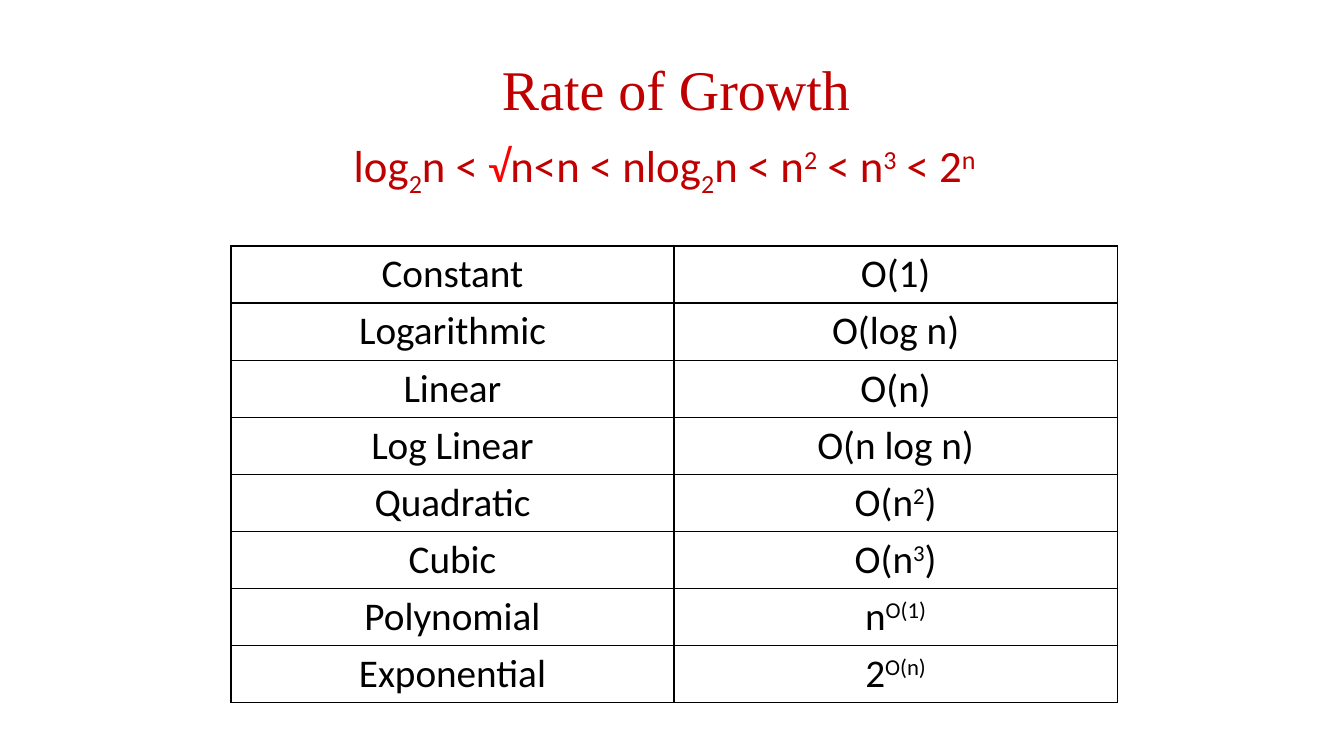
from lxml.etree import SubElement
from pptx import Presentation
from pptx.dml.color import RGBColor
from pptx.enum.text import MSO_ANCHOR, PP_ALIGN
from pptx.oxml.ns import qn
from pptx.util import Inches, Pt

SUB, SUPER = -25, 30
DARK_RED, RED, BLACK, WHITE = "C00000", "FF0000", "000000", "FFFFFF"

ORDERING = [
    ("log",), ("2", SUB), ("n < ",), ("√", 0, RED), ("n<n < nlog",), ("2", SUB),
    ("n < n",), ("2", SUPER), (" < n",), ("3", SUPER), (" < 2",), ("n", SUPER),
]
GROWTH_RATES = [
    ("Constant", [("Ο(1)",)]),
    ("Logarithmic", [("Ο(log n)",)]),
    ("Linear", [("Ο(n)",)]),
    ("Log Linear", [("Ο(n log n)",)]),
    ("Quadratic", [("Ο(n",), ("2", SUPER), (")",)]),
    ("Cubic", [("Ο(n",), ("3", SUPER), (")",)]),
    ("Polynomial", [("n",), ("Ο(1)", SUPER)]),
    ("Exponential", [("2",), ("Ο(n)", SUPER)]),
]


def rgb(color):
    return RGBColor.from_string(color)


def set_all(obj, values):
    for name, value in values.items():
        setattr(obj, name, value)


def add_run(p, font, size, color, text, baseline=0, own_color=None):
    r = p.add_run()
    r.text = text
    set_all(r.font, {"name": font, "size": Pt(size)})
    r.font.color.rgb = rgb(own_color or color)
    if baseline:
        r._r.get_or_add_rPr().set("baseline", str(baseline * 1000))


def write(tf, parts, font, size, color, align):
    """Fill the first paragraph with (text, baseline, colour) parts."""
    p = tf.paragraphs[0]
    p.alignment = align
    for part in parts:
        add_run(p, font, size, color, *part)


def add_title(s):
    title = s.shapes.title
    set_all(title, {"left": Inches(2.12), "top": Inches(0.49),
                    "width": Inches(9.17), "height": Inches(0.77)})
    set_all(title.text_frame, {"word_wrap": True, "vertical_anchor": MSO_ANCHOR.TOP})
    write(title.text_frame, [("Rate of Growth",)], "Times New Roman", 40,
          DARK_RED, PP_ALIGN.CENTER)


def add_ordering(s):
    box = s.shapes.add_textbox(Inches(3.41), Inches(1.32), Inches(6.55), Inches(0.64))
    box.text_frame.word_wrap = False
    write(box.text_frame, ORDERING, "Calibri", 32, DARK_RED, PP_ALIGN.LEFT)


def add_borders(cell):
    tcPr = cell._tc.get_or_add_tcPr()
    for index, side in enumerate(("lnL", "lnR", "lnT", "lnB")):
        ln = tcPr.makeelement(qn(f"a:{side}"), {"w": str(Pt(1))})
        fill = SubElement(ln, qn("a:solidFill"))
        SubElement(fill, qn("a:srgbClr"), val=BLACK)
        tcPr.insert(index, ln)


def fill_cell(cell, parts):
    set_all(cell, {"vertical_anchor": MSO_ANCHOR.MIDDLE,
                   "margin_top": Inches(0.04), "margin_bottom": Inches(0.04)})
    cell.fill.solid()
    cell.fill.fore_color.rgb = rgb(WHITE)
    add_borders(cell)
    write(cell.text_frame, parts, "Calibri", 28, BLACK, PP_ALIGN.CENTER)


def add_growth_table(s):
    table = s.shapes.add_table(len(GROWTH_RATES), 2, Inches(2.29), Inches(2.44),
                               Inches(8.79), Inches(4.53)).table
    set_all(table, {"first_row": False, "horz_banding": False})
    for row, (name, order) in zip(table.rows, GROWTH_RATES):
        fill_cell(row.cells[0], [(name,)])
        fill_cell(row.cells[1], order)


def main():
    prs = Presentation()
    set_all(prs, {"slide_width": Inches(13.33), "slide_height": Inches(7.5)})
    s = prs.slides.add_slide(prs.slide_layouts[5])
    add_growth_table(s)
    add_ordering(s)
    add_title(s)
    prs.save("out.pptx")


if __name__ == "__main__":
    main()
